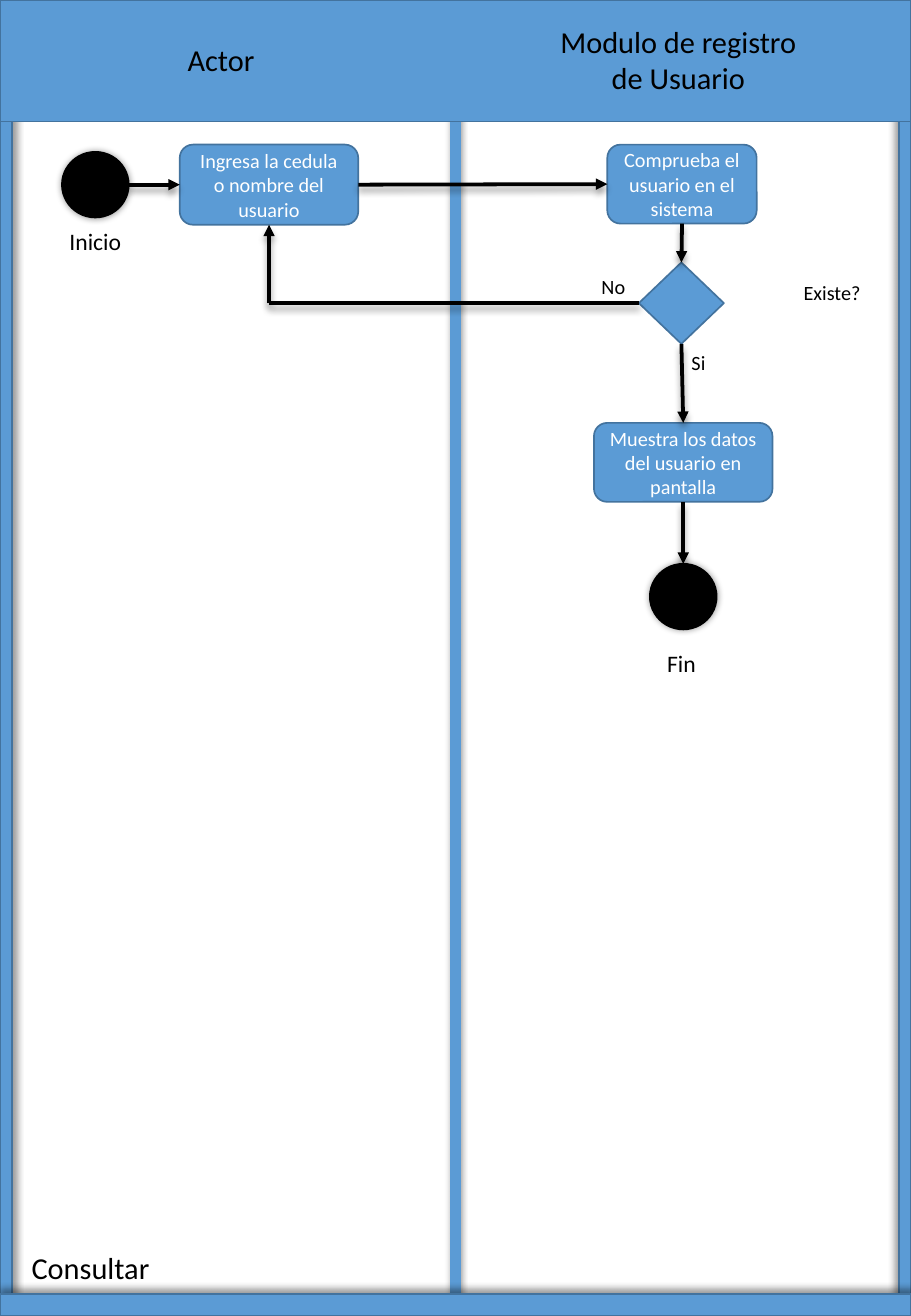
import pptx
import pptx.util
import pptx.dml.color
import pptx.enum.shapes
import pptx.enum.text
import pptx.oxml
import pptx.oxml.ns
from dataclasses import dataclass
from lxml import etree

Inches = pptx.util.Inches
Pt = pptx.util.Pt
qn = pptx.oxml.ns.qn
SHAPE = pptx.enum.shapes.MSO_SHAPE
ALIGN = pptx.enum.text.PP_ALIGN
ANCHOR = pptx.enum.text.MSO_ANCHOR
STRAIGHT = pptx.enum.shapes.MSO_CONNECTOR.STRAIGHT


@dataclass(frozen=True)
class Theme:
    font: str = "Calibri"
    blue: str = "5B9BD5"
    outline: str = "43739E"
    black: str = "000000"
    white: str = "FFFFFF"
    heading: float = 18
    terminal: float = 14
    body: float = 12
    border: float = 1
    arrow: float = 2.25
    divider: float = 6


THEME = Theme()
WIDTH, HEIGHT = 7.5, 10.83
RAIL = 0.1


def rgb(value):
    return pptx.dml.color.RGBColor.from_string(value)


def set_shadow(sp, angle, distance=3):
    """Set an outer shadow, or an empty effect list when angle is None."""
    props = sp.element.spPr
    effects = props.find(qn("a:effectLst"))
    if effects is None:
        effects = etree.SubElement(props, qn("a:effectLst"))
    if angle is None:
        return
    shadow = etree.SubElement(effects, qn("a:outerShdw"), blurRad=str(Pt(4)),
                              dist=str(Pt(distance)), dir=str(angle * 60000),
                              rotWithShape="0")
    color = etree.SubElement(shadow, qn("a:srgbClr"), val=THEME.black)
    etree.SubElement(color, qn("a:alpha"), val="40000")


def write(sp, text, size, color, align=ALIGN.CENTER, wrap=True, anchor=ANCHOR.MIDDLE):
    tf = sp.text_frame
    tf.text = text
    for name, value in {"word_wrap": wrap, "vertical_anchor": anchor}.items():
        setattr(tf, name, value)
    for p in tf.paragraphs:
        p.alignment = align
        for r in p.runs:
            for name, value in {"name": THEME.font, "size": Pt(size), "bold": False}.items():
                setattr(r.font, name, value)
            r.font.color.rgb = rgb(color)


def add_figure(slide, kind, box, text="", fill=THEME.blue, line=THEME.outline,
               angle=None, distance=3):
    sp = slide.shapes.add_shape(kind, *map(Inches, box))
    sp.fill.solid()
    sp.fill.fore_color.rgb = rgb(fill)
    sp.line.color.rgb = rgb(line)
    sp.line.width = Pt(THEME.border)
    sp.shadow.inherit = False
    set_shadow(sp, angle, distance)
    if text:
        write(sp, text, THEME.body, THEME.white)
    return sp


def add_step(slide, box, text):
    return add_figure(slide, SHAPE.ROUNDED_RECTANGLE, box, text)


def add_terminal(slide, left, top):
    return add_figure(slide, SHAPE.OVAL, (left, top, 0.55, 0.54), fill=THEME.black,
                      line=THEME.black, angle=0, distance=0)


def add_label(slide, box, text, size=THEME.body):
    sp = slide.shapes.add_textbox(*map(Inches, box))
    write(sp, text, size, THEME.black, wrap=False, anchor=ANCHOR.TOP)


def add_line(slide, start, end, color=THEME.black, width=THEME.arrow, head=True, angle=90):
    c = slide.shapes.add_connector(STRAIGHT, *start, *end)
    c.line.color.rgb = rgb(color)
    c.line.width = Pt(width)
    if head:
        etree.SubElement(c.element.spPr.find(qn("a:ln")), qn("a:tailEnd"), type="triangle")
    set_shadow(c, angle)


def edge(sp, side):
    """Return the midpoint of one side of a shape."""
    x, y = sp.left + sp.width // 2, sp.top + sp.height // 2
    return {"top": (x, sp.top), "bottom": (x, sp.top + sp.height),
            "left": (sp.left, y), "right": (sp.left + sp.width, y)}[side]


def add_lanes(slide):
    middle = Inches(WIDTH / 2)
    add_line(slide, (middle, 0), (middle, Inches(HEIGHT)), THEME.blue, THEME.divider,
             head=False, angle=270)
    for box, angle in (((0, 0, RAIL, HEIGHT), 45),
                       ((WIDTH - RAIL, 0, RAIL, HEIGHT), 225),
                       ((0, 10.65, WIDTH, 0.18), 270),
                       ((0, 0, WIDTH, 1), None)):
        add_figure(slide, SHAPE.RECTANGLE, box, angle=angle)
    add_label(slide, (1.44, 0.29, 0.76, 0.4), "Actor", THEME.heading)
    add_label(slide, (4.5, 0.14, 2.17, 0.71), "Modulo de registro\nde Usuario", THEME.heading)


def add_flow(slide):
    start = add_terminal(slide, 0.51, 1.25)
    enter = add_step(slide, (1.48, 1.19, 1.47, 0.66), "Ingresa la cedula o nombre del usuario")
    check = add_step(slide, (5, 1.19, 1.23, 0.65), "Comprueba el usuario en el sistema")
    exists = add_figure(slide, SHAPE.FLOWCHART_DECISION, (5.26, 2.16, 0.7, 0.67))
    show = add_step(slide, (4.89, 3.48, 1.47, 0.65), "Muestra los datos del usuario en pantalla")
    end = add_terminal(slide, 5.35, 4.64)

    for source, out, target, into in ((start, "right", enter, "left"),
                                      (enter, "right", check, "left"),
                                      (check, "bottom", exists, "top"),
                                      (exists, "bottom", show, "top"),
                                      (show, "bottom", end, "top")):
        add_line(slide, edge(source, out), edge(target, into))

    retry, back = edge(exists, "left"), edge(enter, "bottom")
    corner = back[0], retry[1]
    add_line(slide, retry, corner, head=False)
    add_line(slide, corner, back)

    for box, text, size in (((0.47, 1.82, 0.63, 0.34), "Inicio", THEME.terminal),
                            ((6.51, 2.26, 0.68, 0.3), "Existe?", THEME.body),
                            ((4.85, 2.21, 0.4, 0.3), "No", THEME.body),
                            ((5.59, 2.83, 0.32, 0.3), "Si", THEME.body),
                            ((5.39, 5.29, 0.44, 0.34), "Fin", THEME.terminal)):
        add_label(slide, box, text, size)


def add_title(slide, text):
    title = slide.shapes.title
    box = {"left": 0.16, "top": 10.23, "width": 1.18, "height": 0.4}
    for name, value in box.items():
        setattr(title, name, Inches(value))
    write(title, text, THEME.heading, THEME.black, ALIGN.LEFT, wrap=False, anchor=ANCHOR.TOP)


def main():
    prs = pptx.Presentation()
    prs.slide_width, prs.slide_height = Inches(WIDTH), Inches(HEIGHT)
    slide = prs.slides.add_slide(prs.slide_layouts.get_by_name("Title Only"))
    add_lanes(slide)
    add_flow(slide)
    add_title(slide, "Consultar")
    prs.save("out.pptx")


if __name__ == "__main__":
    main()
